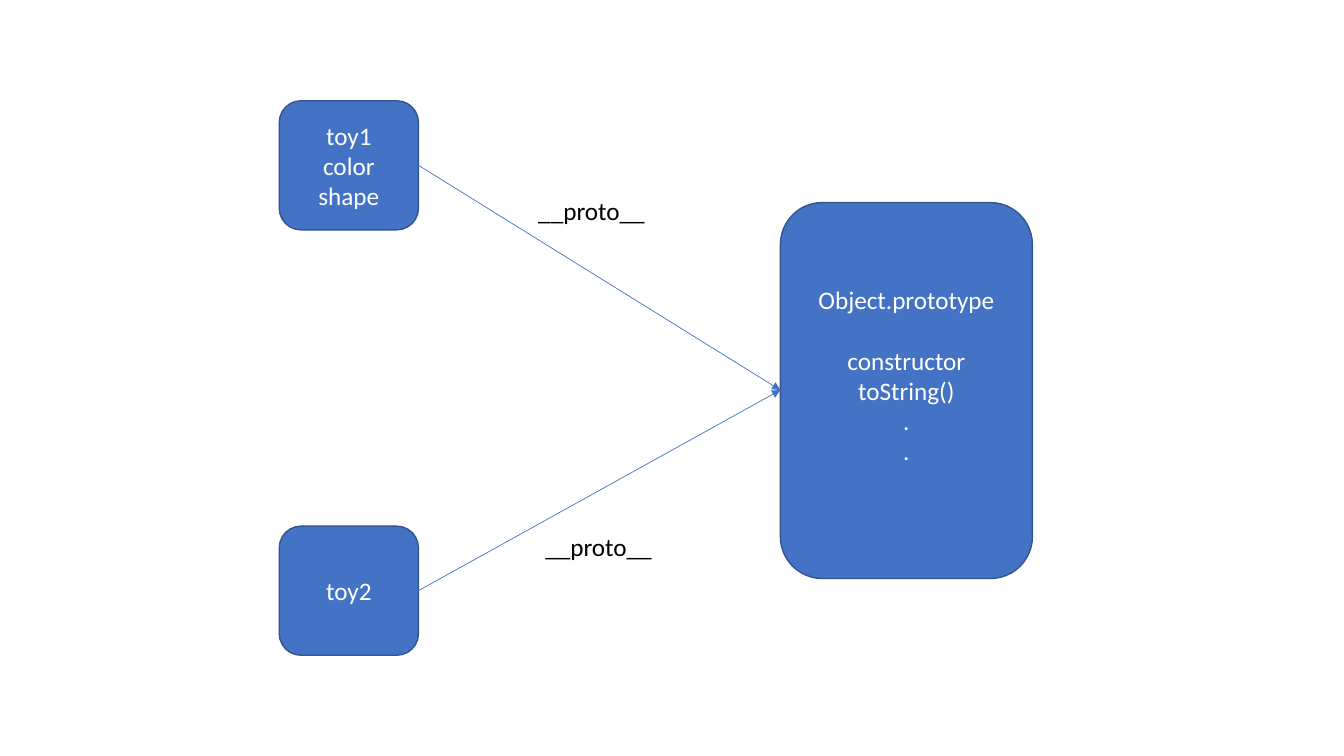
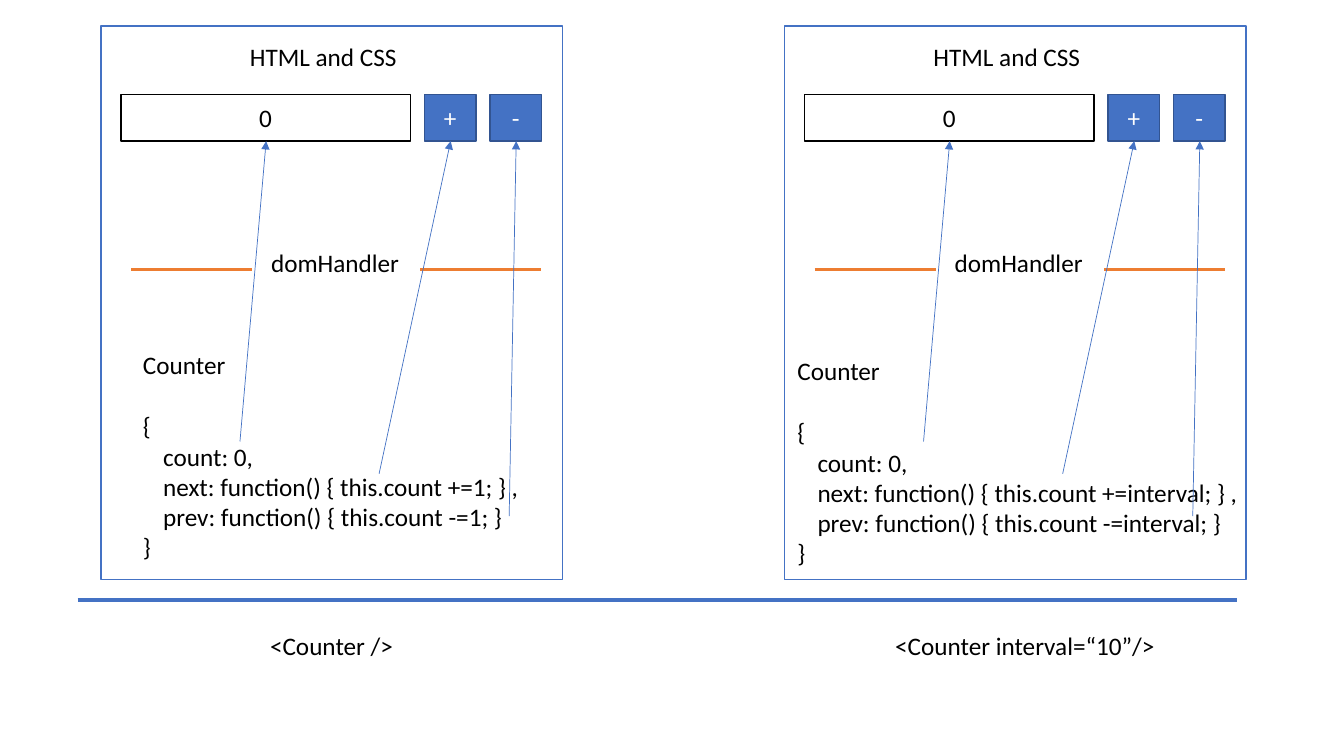
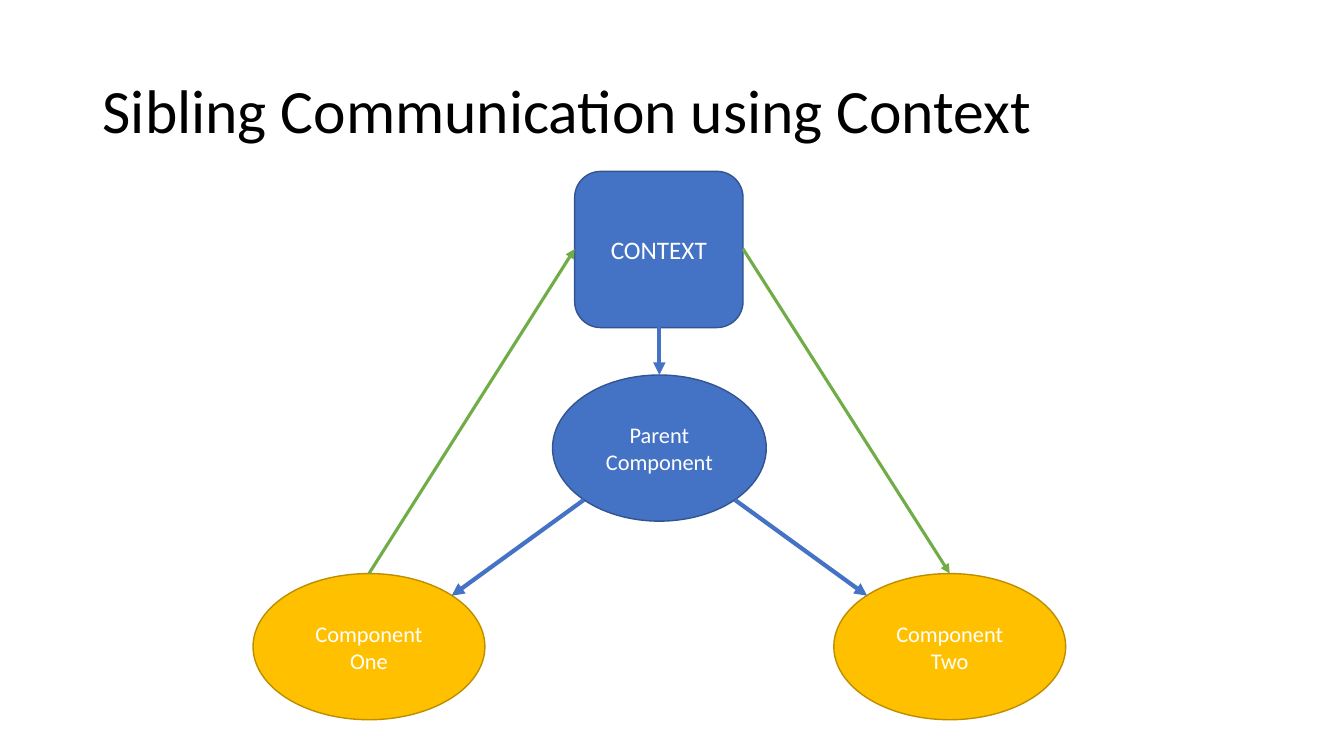
from lxml import etree
from pptx import Presentation
from pptx.dml.color import RGBColor
from pptx.enum.shapes import MSO_CONNECTOR, MSO_SHAPE
from pptx.enum.text import MSO_ANCHOR, MSO_AUTO_SIZE, PP_ALIGN
from pptx.oxml.ns import qn
from pptx.util import Inches, Pt

RECT, ROUND, OVAL = MSO_SHAPE.RECTANGLE, MSO_SHAPE.ROUNDED_RECTANGLE, MSO_SHAPE.OVAL
STRAIGHT = MSO_CONNECTOR.STRAIGHT
LEFT, CENTER = PP_ALIGN.LEFT, PP_ALIGN.CENTER
TOP, MIDDLE = MSO_ANCHOR.TOP, MSO_ANCHOR.MIDDLE
FIT = MSO_AUTO_SIZE.SHAPE_TO_FIT_TEXT

rgb = RGBColor.from_string
FONT = "Calibri"
BLUE, NAVY, ORANGE, GREEN = "4472C4", "325491", "ED7D31", "70AD47"
GOLD, BROWN, BLACK, WHITE = "FFC000", "BD8E00", "000000", "FFFFFF"
LINE_GAP = 22  # one text line at 18 pt
TAB = Inches(0.2)


def add_text(s, text, x, y, w, h, kind=None, fill=BLUE, line=NAVY, color=None,
             size=18, wrap=False, anchor=TOP, spacing=None, gap_before=None,
             bottom=0.05):
    """Add a preset shape, or a plain text box when kind is None."""
    place = Inches(x), Inches(y), Inches(w), Inches(h)
    if kind is None:
        sp = s.shapes.add_textbox(*place)
    else:
        sp = s.shapes.add_shape(kind, *place)
        sp.shadow.inherit = False
        sp.fill.solid()
        sp.fill.fore_color.rgb = rgb(fill)
        sp.line.color.rgb = rgb(line)
        sp.line.width = Pt(1)
        wrap, anchor = True, MIDDLE
    tf = sp.text_frame
    tf.word_wrap = wrap
    tf.vertical_anchor = anchor
    tf.margin_bottom = Inches(bottom)
    if not wrap:
        tf.auto_size = FIT
    for i, row in enumerate(text.split("\n") if text else []):
        p = tf.add_paragraph() if i else tf.paragraphs[0]
        p.alignment = CENTER if kind else LEFT
        if spacing:
            p.line_spacing = spacing
        if i == gap_before:
            p.space_before = Pt(LINE_GAP)
        if row.startswith("\t"):
            tabs = etree.SubElement(p._p.get_or_add_pPr(), qn("a:tabLst"))
            etree.SubElement(tabs, qn("a:tab"), pos=str(TAB), algn="l")
        r = p.add_run()
        r.text = row
        r.font.name = FONT
        r.font.size = Pt(size)
        r.font.color.rgb = rgb(color or (WHITE if kind else BLACK))


def add_line(s, x1, y1, x2, y2, color=BLUE, width=0.5, arrow=True):
    cx = s.shapes.add_connector(STRAIGHT, Inches(x1), Inches(y1), Inches(x2), Inches(y2))
    cx.line.color.rgb = rgb(color)
    cx.line.width = Pt(width)
    if arrow:
        etree.SubElement(cx.line._get_or_add_ln(), qn("a:tailEnd"), type="triangle")
    etree.SubElement(cx._element.spPr, qn("a:effectLst"))


prs = Presentation()
prs.slide_width, prs.slide_height = Inches(13.33), Inches(7.5)
blank = prs.slide_layouts[6]

# Slide 1: two objects sharing a prototype
s = prs.slides.add_slide(blank)
add_text(s, "Object.prototype\nconstructor\ntoString()\n.\n.", 7.74, 2.01, 2.5, 3.73,
         kind=ROUND, gap_before=1, bottom=0.36)
for toy, y, label_x, label_y in [("toy1\ncolor\nshape", 1, 5.24, 1.89),
                                 ("toy2", 5.22, 5.31, 5.22)]:
    add_text(s, toy, 2.77, y, 1.38, 1.28, kind=ROUND)
    add_line(s, 4.15, y + 0.64, 7.74, 3.87)
    add_text(s, "__proto__", label_x, label_y, 1.27, 0.4)

# Slide 2: two counter components side by side
s = prs.slides.add_slide(blank)
counters = [
    (1, "1", 1.32, 3.42, 3.97, "<Counter />", 2.58, 1.44),
    (7.78, "interval", 7.81, 3.48, 4.62, "<Counter interval=“10”/>", 8.78, 2.86),
]
for x, step, code_x, code_y, code_w, tag, tag_x, tag_w in counters:
    # Page mock-up
    add_text(s, "", x, 0.26, 4.58, 5.49, kind=RECT, fill=WHITE, line=BLUE)
    add_text(s, "0", x + 0.2, 0.94, 2.87, 0.46, kind=RECT,
             fill=WHITE, line=BLACK, color=BLACK)
    for sign, dx in [("+", 3.21), ("-", 3.86)]:
        add_text(s, sign, x + dx, 0.94, 0.51, 0.46, kind=RECT)
    add_text(s, "HTML and CSS", x + 1.38, 0.36, 1.67, 0.4)

    # Code
    code = ("Counter\n{\n\tcount: 0,\n"
            f"\tnext: function() {{ this.count +={step}; }} ,\n"
            f"\tprev: function() {{ this.count -={step}; }}\n}}")
    add_text(s, code, code_x, code_y, code_w, 2.22, gap_before=1)

    # Handler divider
    for dx in (0.3, 3.17):
        add_line(s, x + dx, 2.67, x + dx + 1.2, 2.67, ORANGE, 2.25, arrow=False)
    add_text(s, "domHandler", x + 1.59, 2.4, 1.49, 0.4)

    # Links from code to page
    for dx, y, to_dx in [(1.38, 4.38, 1.64), (2.76, 4.7, 3.47), (4.05, 5.12, 4.12)]:
        add_line(s, x + dx, y, x + to_dx, 1.4)
    add_text(s, tag, tag_x, 6.2, tag_w, 0.4)
add_line(s, 0.77, 5.95, 12.27, 5.95, width=3, arrow=False)

# Slide 3: siblings talking through a context
s = prs.slides.add_slide(blank)
add_text(s, "Sibling Communication using Context", 0.92, 0.4, 11.5, 1.45,
         size=44, wrap=True, anchor=MIDDLE, spacing=0.9)
mid = 6.54
add_text(s, "Parent Component", mid - 1.06, 3.72, 2.12, 1.45, kind=OVAL, size=16)
add_text(s, "CONTEXT", mid - 0.84, 1.7, 1.67, 1.55, kind=ROUND)
add_line(s, mid, 3.24, mid, 3.72, width=3)
for side, name in [(-1, "Component One"), (1, "Component Two")]:
    child = mid + side * 2.88
    add_text(s, name, child - 1.15, 5.69, 2.3, 1.45, kind=OVAL,
             fill=GOLD, line=BROWN, size=16)
    add_line(s, mid + side * 0.75, 4.96, mid + side * 2.06, 5.91, width=3)
add_line(s, mid - 2.88, 5.69, mid - 0.84, 2.47, GREEN, 2.25)
add_line(s, mid + 0.83, 2.47, mid + 2.88, 5.69, GREEN, 2.25)

prs.save("out.pptx")
